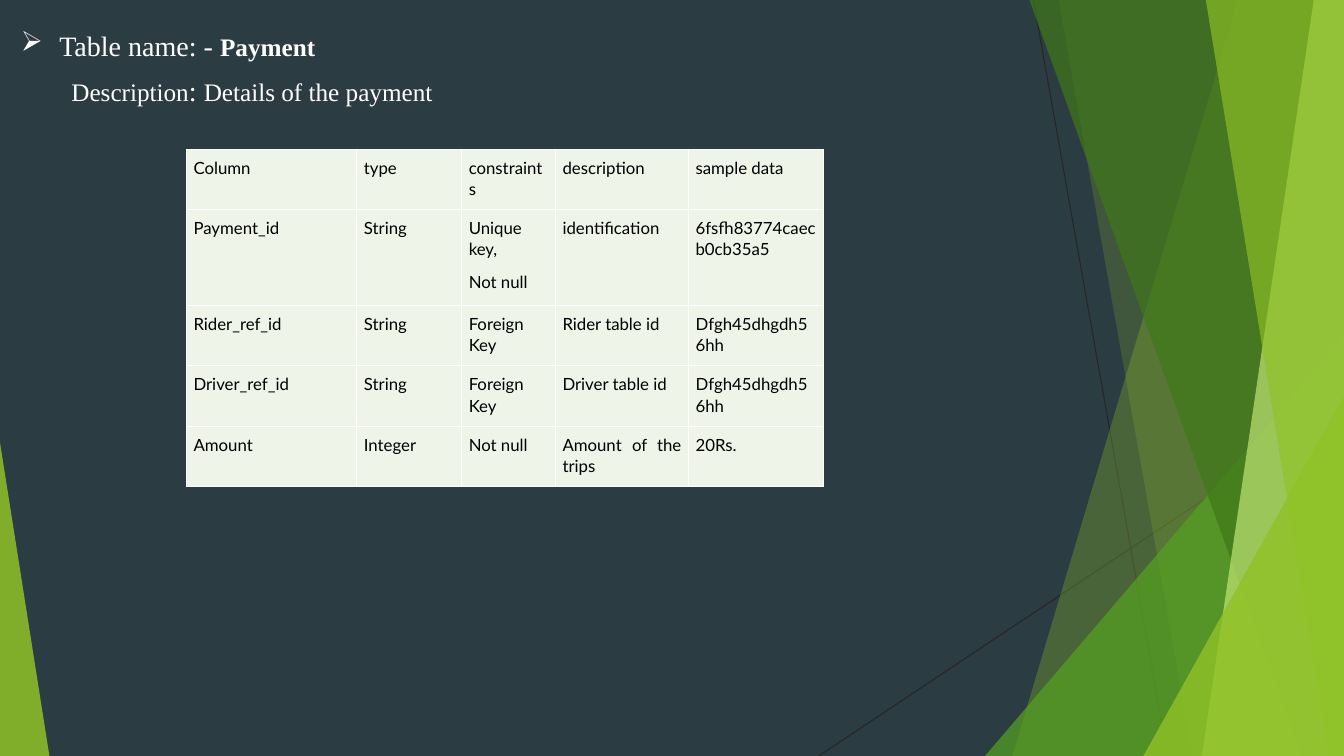
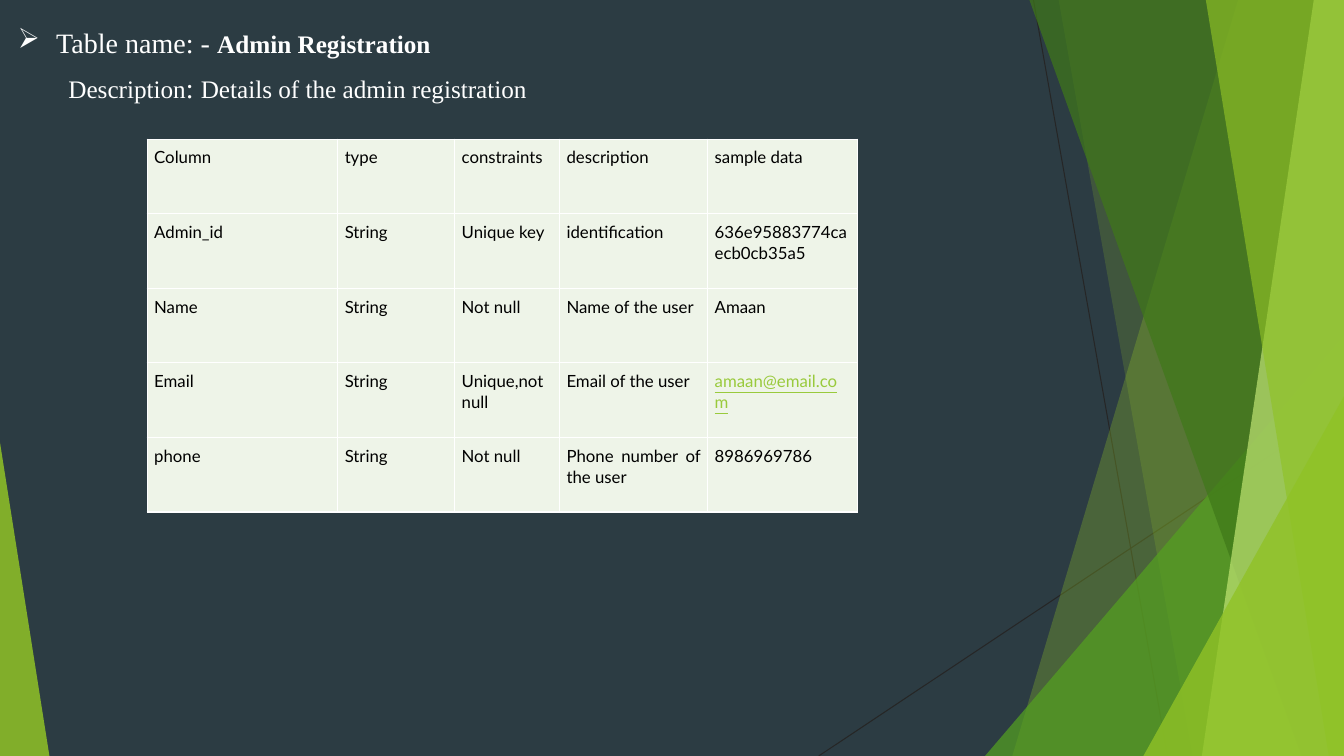
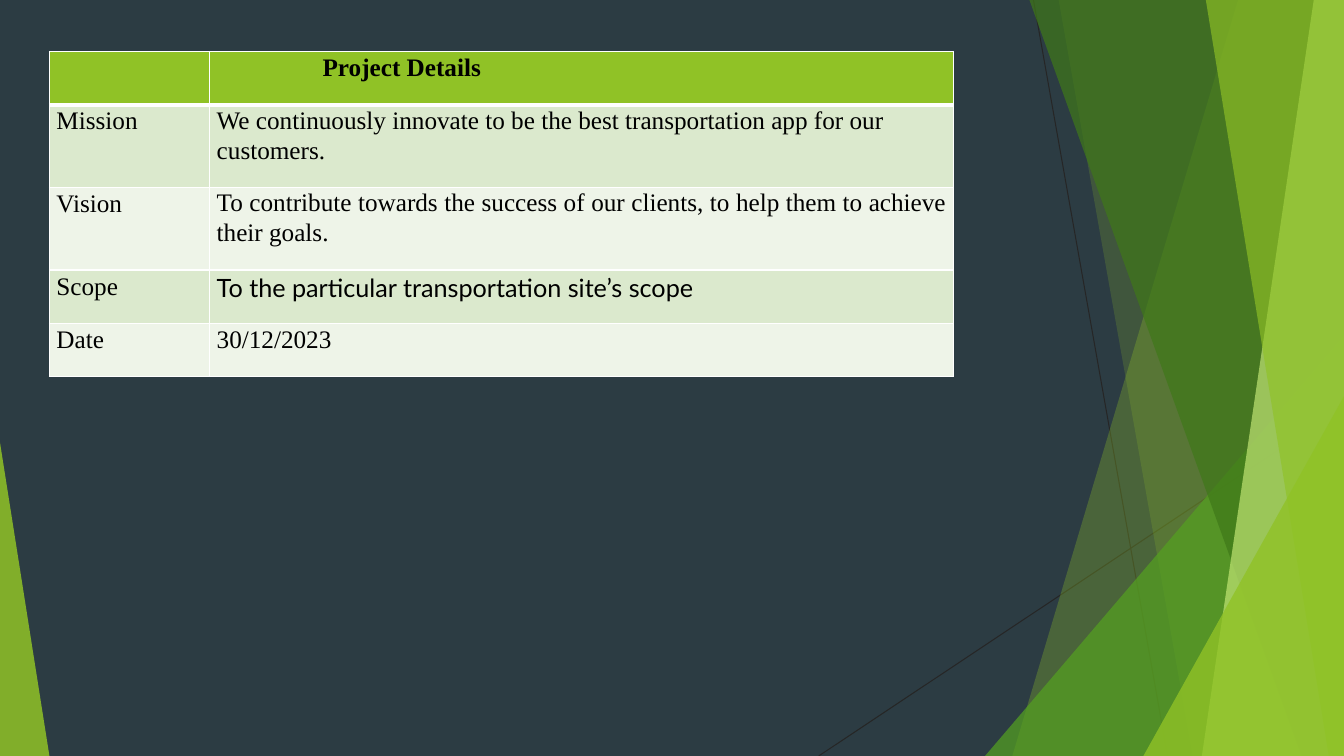
from dataclasses import dataclass

from pptx import Presentation
from pptx import util as u
from pptx.dml.color import RGBColor
from pptx.enum import shapes, text
from pptx.oxml import ns, xmlchemy


@dataclass(frozen=True)
class Theme:
    background: str = "2C3C43"
    white: str = "FFFFFF"
    black: str = "000000"
    hairline: str = "262626"
    lime: str = "90C226"
    pale_lime: str = "C0E474"
    green: str = "54A021"
    forest: str = "3F7819"
    link: str = "99CA3C"
    light_row: str = "EEF4E8"
    dark_row: str = "DBE9CD"
    serif: str = "Times New Roman"
    sans: str = "Lato"
    heading_size: int = 20
    body_size: int = 18
    table_size: int = 12


THEME = Theme()
WIDTH, HEIGHT = 13.33, 7.5
JUSTIFY = text.PP_ALIGN.JUSTIFY

HAIRLINES = [(10.25, 0, 11.58, HEIGHT), (WIDTH, 4.03, 8.12, HEIGHT)]
# Bands reach the right edge: top-left x, bottom-left x, colour, opacity.
# Corners are right triangles: left, top, width, height, apex, colour, opacity.
BACK_BANDS = [(12.28, 10.04, THEME.lime, 30), (10.5, 11.83, THEME.lime, 20)]
BACK_CORNERS = [(9.77, 3.33, 3.56, 4.17, 1, THEME.green, 72)]
FRONT_BANDS = [
    (10.21, 12.91, THEME.forest, 70),
    (13.03, 11.92, THEME.pale_lime, 70),
    (11.96, 13.18, THEME.lime, 65),
]
FRONT_CORNERS = [
    (11.34, 3.93, 1.99, 3.57, 1, THEME.lime, 80),
    (0, 4.39, 0.49, 3.11, 0, THEME.lime, 85),
]


def apply_formats(target, formats):
    for name, value in formats.items():
        setattr(target, name, value)


def add_xml(parent, tag, **attributes):
    child = xmlchemy.OxmlElement(tag)
    for name, value in attributes.items():
        child.set(name, str(value))
    parent.append(child)
    return child


class Deck:
    def __init__(self, theme):
        self.theme = theme
        self.slide = None
        self.presentation = Presentation()
        self.presentation.slide_width = u.Inches(WIDTH)
        self.presentation.slide_height = u.Inches(HEIGHT)
        fill = self.presentation.slide_master.background.fill
        fill.solid()
        fill.fore_color.rgb = RGBColor.from_string(theme.background)

    def new_slide(self):
        layout = self.presentation.slide_layouts[6]
        self.slide = self.presentation.slides.add_slide(layout)
        for ends in HAIRLINES:
            self.hairline(*ends)
        for bands, corners in ((BACK_BANDS, BACK_CORNERS), (FRONT_BANDS, FRONT_CORNERS)):
            for band in bands:
                self.band(*band)
            for corner in corners:
                self.corner(*corner)

    def hairline(self, *ends):
        line = self.slide.shapes.add_connector(
            shapes.MSO_CONNECTOR.STRAIGHT, *map(u.Inches, ends))
        line.line.width = u.Pt(0.75)
        line.line.color.rgb = RGBColor.from_string(self.theme.hairline)
        add_xml(line.element.spPr, "a:effectLst")

    def band(self, top_x, bottom_x, color, opacity):
        points = [(WIDTH, 0), (WIDTH, HEIGHT), (bottom_x, HEIGHT)]
        builder = self.slide.shapes.build_freeform(u.Inches(top_x), 0)
        builder.add_line_segments([(u.Inches(x), u.Inches(y)) for x, y in points])
        self.paint(builder.convert_to_shape(), color, opacity)

    def corner(self, left, top, width, height, apex, color, opacity):
        shape = self.slide.shapes.add_shape(
            shapes.MSO_SHAPE.ISOSCELES_TRIANGLE,
            *map(u.Inches, (left, top, width, height)))
        shape.adjustments[0] = apex
        self.paint(shape, color, opacity)

    def paint(self, shape, color, opacity):
        """Give a shape a translucent fill without line or shadow."""
        shape.shadow.inherit = False
        shape.line.fill.background()
        shape.fill.solid()
        shape.fill.fore_color.rgb = RGBColor.from_string(color)
        color_node = shape.element.spPr.find(".//" + ns.qn("a:srgbClr"))
        add_xml(color_node, "a:alpha", val=opacity * 1000)

    def run(self, paragraph, words, color, **formats):
        run = paragraph.add_run()
        run.text = words
        apply_formats(run.font, formats)
        run.font.color.rgb = RGBColor.from_string(color)

    def indent(self, paragraph, left, first=0):
        properties = paragraph._p.get_or_add_pPr()
        properties.set("marL", str(u.Inches(left)))
        properties.set("indent", str(u.Inches(first)))
        return properties

    def heading(self, left, top, name, details):
        box = self.slide.shapes.add_textbox(
            *map(u.Inches, (left, top, 6.67, 0.9)))
        frame = box.text_frame
        frame.word_wrap = True
        large, normal = u.Pt(self.theme.heading_size), u.Pt(self.theme.body_size)
        lines = [
            [("Table name: - ", large, False), (name, normal, True)],
            [("Description", normal, False), (": ", large, False), (details, normal, False)],
        ]
        for paragraph, runs in zip((frame.paragraphs[0], frame.add_paragraph()), lines):
            apply_formats(paragraph, {
                "alignment": JUSTIFY, "line_spacing": 1.13, "space_before": u.Pt(5)})
            for words, size, bold in runs:
                self.run(paragraph, words, self.theme.white,
                         name=self.theme.serif, size=size, bold=bold)
        bullet = self.indent(frame.paragraphs[0], 0.38, -0.38)
        add_xml(bullet, "a:buChar", char="➢")
        self.indent(frame.paragraphs[1], 0.5)

    def table(self, left, top, columns, rows, data, style):
        """Draw a table; style(row, column) returns the formats of one cell."""
        frame = self.slide.shapes.add_table(
            len(rows), len(columns),
            *map(u.Inches, (left, top, sum(columns), sum(rows))))
        table = frame.table
        apply_formats(table, {"first_row": False, "horz_banding": False})
        for column, width in zip(table.columns, columns):
            column.width = u.Inches(width)
        for row, height in zip(table.rows, rows):
            row.height = u.Inches(height)
        for row, values in enumerate(data):
            for column, words in enumerate(values):
                self.cell(table.cell(row, column), words, **style(row, column))

    def cell(self, cell, words, fill, margins, paragraph, font,
             indent=0, top_line=1, bottom_line=1):
        sides = ("margin_left", "margin_top", "margin_right", "margin_bottom")
        apply_formats(cell, dict(zip(sides, map(u.Inches, margins))))
        properties = cell._tc.get_or_add_tcPr()
        for side, width in zip("LRTB", (1, 1, top_line, bottom_line)):
            line = add_xml(properties, f"a:ln{side}", w=u.Pt(width))
            add_xml(add_xml(line, "a:solidFill"), "a:srgbClr", val=self.theme.white)
        cell.fill.solid()
        cell.fill.fore_color.rgb = RGBColor.from_string(fill)
        if not words:
            return
        for number, line in enumerate(words.split("\n")):
            frame = cell.text_frame
            item = frame.add_paragraph() if number else frame.paragraphs[0]
            apply_formats(item, {"line_spacing": 1.06, "space_after": u.Pt(8), **paragraph})
            if indent:
                self.indent(item, indent)
            self.run(item, line, **font)


def field_style(link_cell=None):
    """Style for tables of database fields, with one optional link-like cell."""
    def style(row, column):
        linked = (row, column) == link_cell
        return {
            "fill": THEME.light_row,
            "margins": (0.07,) * 4,
            "paragraph": {"alignment": JUSTIFY},
            "font": {"name": THEME.sans, "size": u.Pt(THEME.table_size),
                     "color": THEME.link if linked else THEME.black,
                     "underline": linked},
        }
    return style


def project_style(row, column):
    header, label = row == 0, column == 0
    vision, scope = (row, column) == (2, 1), (row, column) == (3, 1)
    fill = THEME.lime if header else THEME.dark_row if row % 2 else THEME.light_row
    return {
        "fill": fill,
        "margins": (0.07, 0, 0.07, 0) if vision else (0.07, 0.01, 0.03, 0),
        "paragraph": {"alignment": JUSTIFY if vision else text.PP_ALIGN.LEFT,
                      "space_before": u.Pt(5 if header or label else 0)},
        "font": {"name": THEME.sans if scope else THEME.serif,
                 "size": u.Pt(THEME.body_size), "color": THEME.black, "bold": header},
        "indent": 1.05 if header else 0,
        "top_line": 3 if row == 1 else 1,
        "bottom_line": 3 if header else 1,
    }


FIELD_HEADER = ("Column", "type", "constraints", "description", "sample data")
PAYMENT_FIELDS = [
    FIELD_HEADER,
    ("Payment_id", "String", "Unique key,\nNot null", "identification", "6fsfh83774caecb0cb35a5"),
    ("Rider_ref_id", "String", "Foreign Key", "Rider table id", "Dfgh45dhgdh56hh"),
    ("Driver_ref_id", "String", "Foreign Key", "Driver table id", "Dfgh45dhgdh56hh"),
    ("Amount", "Integer", "Not null", "Amount of the trips", "20Rs."),
]
ADMIN_FIELDS = [
    FIELD_HEADER,
    ("Admin_id", "String", "Unique key", "identification", "636e95883774caecb0cb35a5"),
    ("Name", "String", "Not null", "Name of the user", "Amaan"),
    ("Email", "String", "Unique,not null", "Email of the user", "amaan@email.com"),
    ("phone", "String", "Not null", "Phone number of the user", "8986969786"),
]
PROJECT_DETAILS = [
    ("", "Project Details"),
    ("Mission", "We continuously innovate to be the best transportation app for our customers."),
    ("Vision", "To contribute towards the success of our clients, "
               "to help them to achieve their goals."),
    ("Scope", "To the particular transportation site’s scope"),
    ("Date", "30/12/2023"),
]


def main():
    deck = Deck(THEME)

    deck.new_slide()
    deck.heading(0.11, 0.19, "Payment", "Details of the payment")
    deck.table(1.85, 1.48, (1.69, 1.04, 0.93, 1.32, 1.34),
               (0.6, 0.95, 0.6, 0.6, 0.6), PAYMENT_FIELDS, field_style())

    deck.new_slide()
    deck.heading(0.08, 0.16, "Admin Registration", "Details of the admin registration")
    deck.table(1.46, 1.38, (1.89, 1.16, 1.04, 1.47, 1.49),
               (0.74,) * 5, ADMIN_FIELDS, field_style(link_cell=(3, 4)))

    deck.new_slide()
    deck.table(0.49, 0.51, (1.59, 7.38),
               (0.53, 0.82, 0.82, 0.53, 0.53), PROJECT_DETAILS, project_style)

    deck.presentation.save("out.pptx")


if __name__ == "__main__":
    main()
